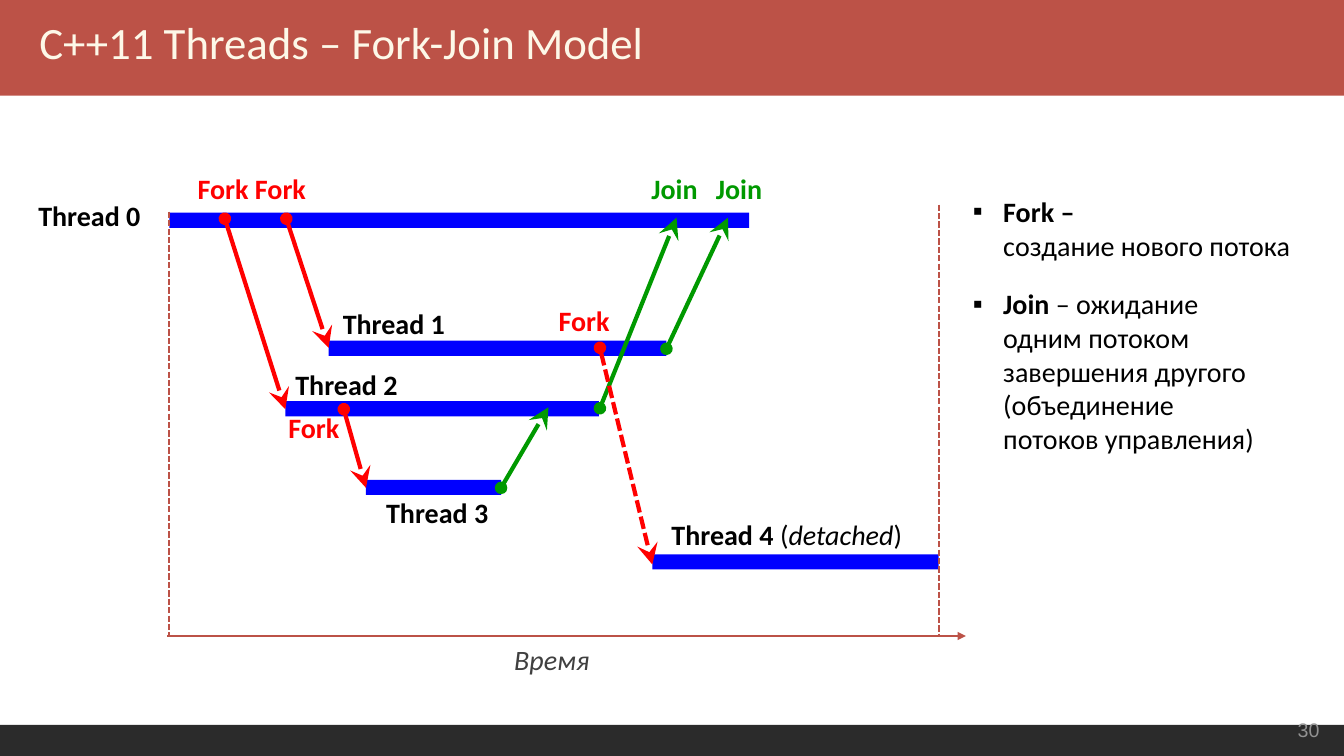
from lxml import etree
from pptx import Presentation
from pptx.dml.color import RGBColor
from pptx.enum.dml import MSO_LINE
from pptx.enum.shapes import MSO_CONNECTOR, MSO_SHAPE
from pptx.enum.text import MSO_ANCHOR, MSO_AUTO_SIZE, PP_ALIGN
from pptx.oxml.ns import qn
from pptx.util import Inches, Pt

COLORS = {"brick": "BC5247", "cream": "FDF8E8", "dark": "2B2B2B", "blue": "0000FF",
          "red": "FF0000", "green": "009900", "black": "000000", "gray": "404040",
          "pale": "929292"}
BOLD, PLAIN, ITALIC = {"bold": True}, {"bold": False}, {"italic": True}

TITLE = "C++11 Threads – Fork-Join Model"
# Each bullet is a list of lines, each line a list of (text, format)
BULLETS = [
    [[("Fork –", BOLD)],
     [("создание нового потока", PLAIN)]],
    [[("Join", BOLD), (" – ожидание", PLAIN)],
     [("одним потоком", PLAIN)],
     [("завершения другого", PLAIN)],
     [("(объединение", PLAIN)],
     [("потоков управления)", PLAIN)]],
]
# left, top, width
THREADS = [(1.68, 2.11, 5.75), (3.26, 3.38, 3.35), (2.83, 3.98, 3.11),
           (3.63, 4.76, 1.34), (6.47, 5.5, 2.84)]
THICK = 0.15
# color, from, to, dashed
ARROWS = [
    ("red", (2.23, 2.17), (2.83, 4.06), False),
    ("red", (2.84, 2.17), (3.26, 3.45), False),
    ("green", (5.95, 4.05), (6.71, 2.16), False),
    ("green", (6.61, 3.46), (7.22, 2.16), False),
    ("red", (3.41, 4.06), (3.63, 4.84), False),
    ("green", (4.97, 4.84), (5.44, 4.04), False),
    ("red", (5.95, 3.45), (6.47, 5.6), True),
]
AXIS = 6.31
# left, top of the time limits
LIMITS = [(1.68, 2.1), (9.31, 2.03)]
# left, top, width, color, runs
LABELS = [
    (0.38, 1.96, 1.04, "black", [("Thread 0", BOLD)]),
    (3.4, 3.03, 1.04, "black", [("Thread 1", BOLD)]),
    (2.93, 3.64, 1.04, "black", [("Thread 2", BOLD)]),
    (3.83, 4.91, 1.04, "black", [("Thread 3", BOLD)]),
    (6.66, 5.12, 2.32, "black", [("Thread 4 ", BOLD), ("(", PLAIN),
                                 ("detached", ITALIC), (")", PLAIN)]),
    (1.96, 1.69, 1.14, "red", [("Fork Fork", BOLD)]),
    (2.86, 4.06, 0.54, "red", [("Fork", BOLD)]),
    (5.54, 3, 0.54, "red", [("Fork", BOLD)]),
    (6.46, 1.69, 0.49, "green", [("Join", BOLD)]),
    (7.1, 1.69, 0.49, "green", [("Join", BOLD)]),
    (5.1, 6.36, 0.78, "gray", [("Время", ITALIC)]),
]
PAGE = (12.87, 7.11, 0.28, "pale", [("30", {"name": "Arial", "size": Pt(14)})])


def rgb(name):
    return RGBColor.from_string(COLORS[name])


def place(shape, *box):
    for name, value in zip(("left", "top", "width", "height"), box):
        setattr(shape, name, Inches(value))


def setup(frame, left=0, top=0.01, wrap=False):
    values = {"margin_left": Inches(left), "margin_top": Inches(top),
              "margin_right": 0, "margin_bottom": 0, "word_wrap": wrap,
              "auto_size": MSO_AUTO_SIZE.NONE, "vertical_anchor": MSO_ANCHOR.TOP}
    for name, value in values.items():
        setattr(frame, name, value)


def write(para, runs, color):
    for text, style in runs:
        run = para.add_run()
        run.text = text
        run.font.color.rgb = rgb(color)
        for name, value in ({"name": "Calibri", "size": Pt(20)} | style).items():
            setattr(run.font, name, value)


def bar(slide, color, *box):
    shape = slide.shapes.add_shape(MSO_SHAPE.RECTANGLE, *map(Inches, box))
    shape.shadow.inherit = False
    shape.fill.solid()
    shape.fill.fore_color.rgb = rgb(color)
    shape.line.fill.background()


def link(slide, color, start, end, width, dashed=False, ends=()):
    """Draw a line; ends holds (tag, type, size) for each end mark."""
    line = slide.shapes.add_connector(
        MSO_CONNECTOR.STRAIGHT, *map(Inches, (*start, *end)))
    etree.SubElement(line._element.spPr, qn("a:effectLst"))
    line.line.color.rgb = rgb(color)
    line.line.width = Pt(width)
    if dashed:
        line.line.dash_style = MSO_LINE.SQUARE_DOT
        line.line._ln.find(qn("a:prstDash")).set("val", "sysDash")
    for tag, kind, size in ends:
        etree.SubElement(line.line._ln, qn(tag), type=kind, w=size, len=size)


def label(slide, left, top, width, color, runs):
    box = slide.shapes.add_textbox(*map(Inches, (left, top, width, 0.35)))
    setup(box.text_frame)
    write(box.text_frame.paragraphs[0], runs, color)


def fill_title(title):
    place(title, 0, 0, 13.33, 0.95)
    title.fill.solid()
    title.fill.fore_color.rgb = rgb("brick")
    setup(title.text_frame, 0.39, 0.15, True)
    para = title.text_frame.paragraphs[0]
    para.alignment = PP_ALIGN.LEFT
    write(para, [(TITLE, {"size": Pt(32)})], "cream")


def fill_body(body):
    place(body, 9.64, 1.92, 3.4, 2.8)
    frame = body.text_frame
    setup(frame, wrap=True)
    for i, lines in enumerate(BULLETS):
        para = frame.add_paragraph() if i else frame.paragraphs[0]
        props = para._p.get_or_add_pPr()
        props.set("marL", str(Inches(0.31)))
        props.set("indent", str(-Inches(0.3)))
        etree.SubElement(props, qn("a:buFont"), typeface="Arial")
        etree.SubElement(props, qn("a:buChar"), char="▪")
        para.space_before = Pt(18 if i else 0)
        for j, runs in enumerate(lines):
            if j:
                para.add_line_break()
            write(para, runs, "black")


def main():
    deck = Presentation()
    deck.slide_width, deck.slide_height = Inches(13.33), Inches(7.5)
    slide = deck.slides.add_slide(deck.slide_layouts[1])
    fill_title(slide.shapes.title)
    fill_body(slide.placeholders[1])
    bar(slide, "dark", 0, 7.19, 13.33, 0.31)
    for left, top, width in THREADS:
        bar(slide, "blue", left, top, width, THICK)
    for color, start, end, dashed in ARROWS:
        link(slide, color, start, end, 3, dashed,
             [("a:headEnd", "oval", "med"), ("a:tailEnd", "stealth", "lg")])
    for left, top in LIMITS:
        link(slide, "brick", (left, top), (left, AXIS), 1.5, True)
    link(slide, "brick", (1.66, AXIS), (9.58, AXIS), 1.75,
         ends=[("a:tailEnd", "triangle", "med")])
    for item in [*LABELS, PAGE]:
        label(slide, *item)
    deck.save("out.pptx")


if __name__ == "__main__":
    main()
